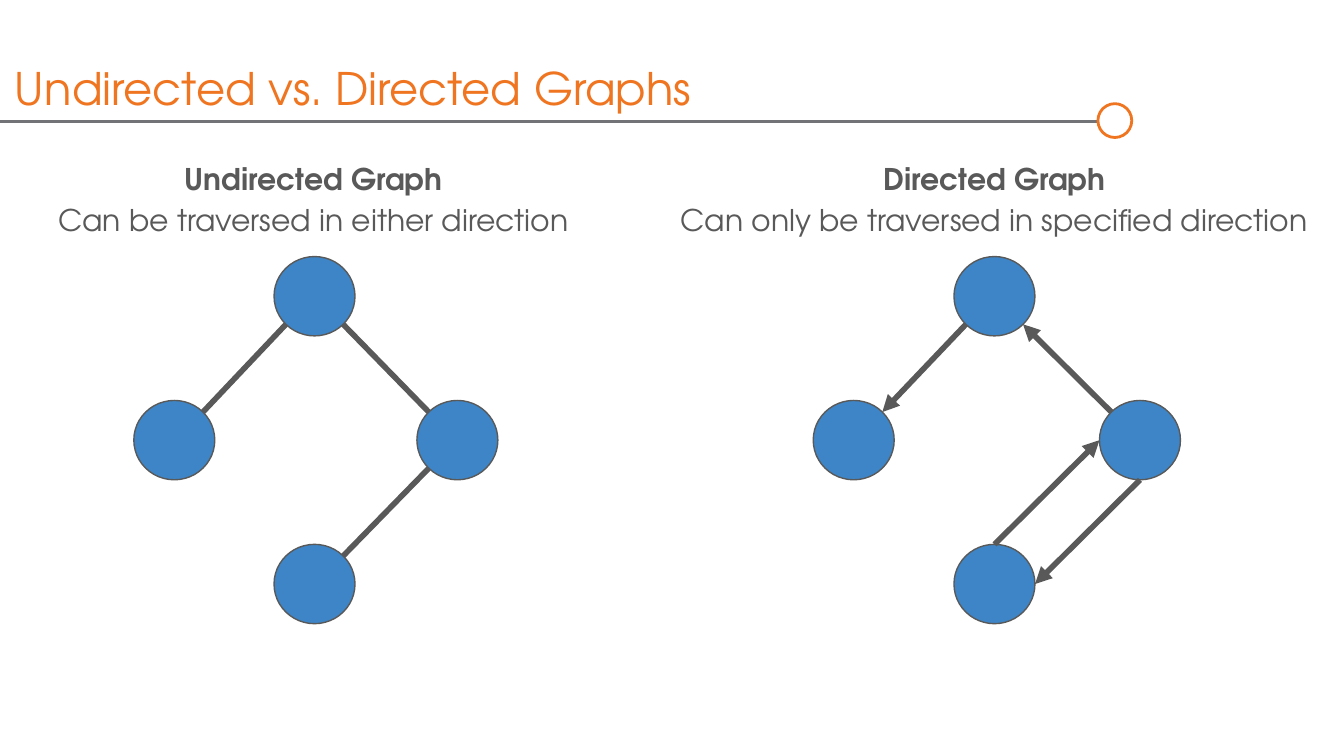
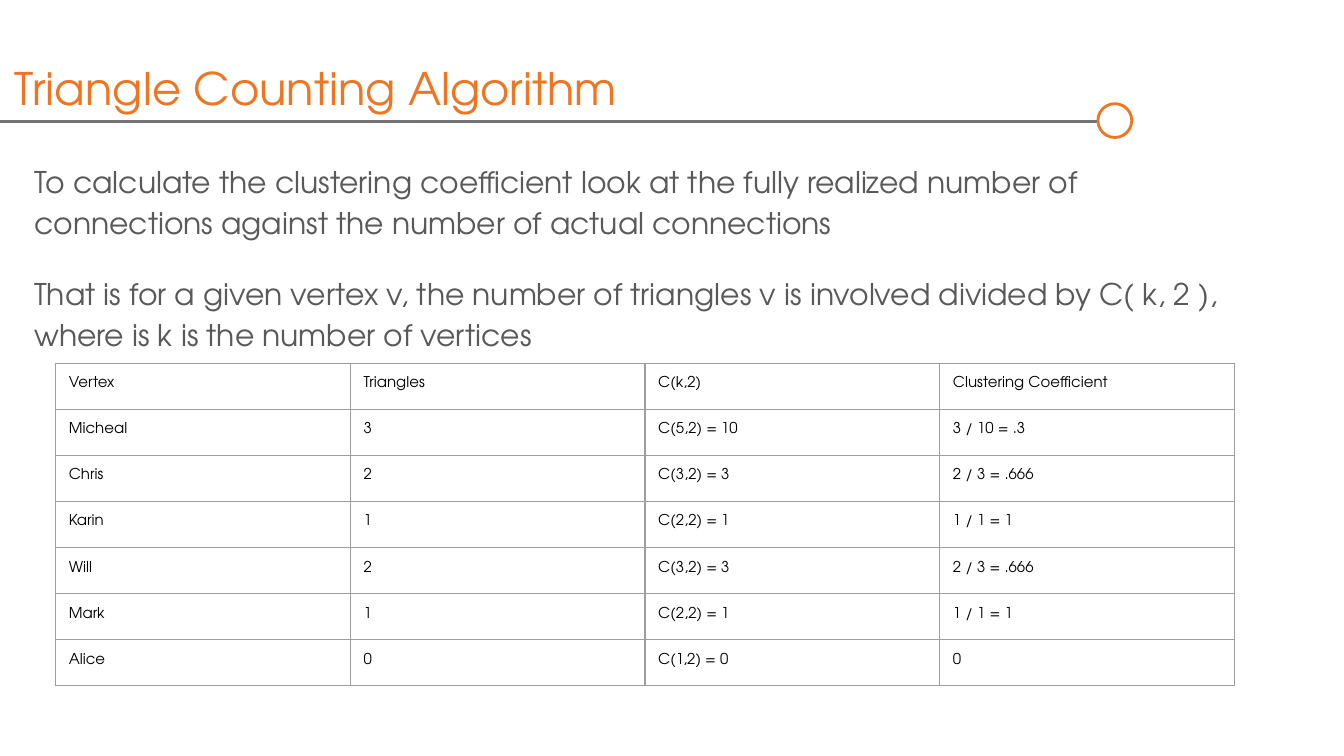
"""Build two slides on graphs: directed versus undirected, and triangle counting."""
import math

import lxml.etree
import pptx
import pptx.dml.color
import pptx.enum.shapes
import pptx.enum.text
import pptx.oxml
import pptx.oxml.ns
import pptx.util

Cm = pptx.util.Cm
Pt = pptx.util.Pt
rgb = pptx.dml.color.RGBColor.from_string
qn = pptx.oxml.ns.qn
align = pptx.enum.text.PP_ALIGN
OVAL = pptx.enum.shapes.MSO_SHAPE.OVAL
STRAIGHT = pptx.enum.shapes.MSO_CONNECTOR.STRAIGHT

FONT = "TeX Gyre Adventor"
ORANGE = "EF7521"
RULE_GREY = "727376"
TEXT_GREY = "595959"
NODE_BLUE = "3D85C6"
BORDER_GREY = "9E9E9E"
BLACK = "000000"


def add_span(para, text, size, colour, bold=False):
    """Add one formatted run to a paragraph."""
    span = para.add_run()
    span.text = text
    span.font.name = FONT
    span.font.size = Pt(size)
    span.font.bold = bold
    span.font.color.rgb = rgb(colour)


def add_line(page, start, end, colour, width, arrow=False):
    """Draw a straight line between two points given in centimetres."""
    line = page.shapes.add_connector(STRAIGHT, *[Cm(value) for value in (*start, *end)])
    line.line.color.rgb = rgb(colour)
    line.line.width = Pt(width)
    properties = line._element.spPr
    if arrow:
        lxml.etree.SubElement(properties.find(qn("a:ln")), qn("a:tailEnd"), type="triangle")
    lxml.etree.SubElement(properties, qn("a:effectLst"))


deck = pptx.Presentation()
deck.slide_width = Cm(25.4)
deck.slide_height = Cm(14.29)

pages = []
for heading in ("Undirected vs. Directed Graphs", "Triangle Counting Algorithm"):
    page = deck.slides.add_slide(deck.slide_layouts[5])
    pages.append(page)
    add_line(page, (0, 2.29), (20.75, 2.29), RULE_GREY, 1.5)
    ring = page.shapes.add_shape(OVAL, Cm(20.75), Cm(1.96), Cm(0.64), Cm(0.64))
    ring.shadow.inherit = False
    ring.fill.background()
    ring.line.color.rgb = rgb(ORANGE)
    ring.line.width = Pt(1.5)

    title = page.shapes.title
    title.left, title.top, title.width, title.height = Cm(0.03), Cm(0.13), Cm(20.5), Cm(2.16)
    frame = title.text_frame
    frame.auto_size = pptx.enum.text.MSO_AUTO_SIZE.NONE
    frame.vertical_anchor = pptx.enum.text.MSO_ANCHOR.BOTTOM
    frame.margin_left = frame.margin_right = Cm(0.25)
    frame.margin_top = frame.margin_bottom = Cm(0.13)
    frame.paragraphs[0].alignment = align.LEFT
    add_span(frame.paragraphs[0], heading, 24, ORANGE)

graph_page, triangle_page = pages

text_boxes = [
    (graph_page, (0.38, 2.69, 11.1, 1.09), align.CENTER, 0,
     [("Undirected Graph", True), ("Can be traversed in either direction", False)]),
    (graph_page, (12.32, 2.69, 12.95, 1.98), align.CENTER, 0,
     [("Directed Graph", True), ("Can only be traversed in specified direction", False)]),
    (triangle_page, (0.4, 2.74, 23.3, 4.14), align.LEFT, 16,
     [("To calculate the clustering coefficient look at the fully realized number of "
       "connections against the number of actual connections", False),
      ("That is for a given vertex v, the number of triangles v is involved divided by "
       "C( k, 2 ), where is k is the number of vertices", False)]),
]
for page, place, alignment, gap, lines in text_boxes:
    box = page.shapes.add_textbox(*[Cm(value) for value in place])
    frame = box.text_frame
    frame.word_wrap = True
    frame.margin_left = frame.margin_right = frame.margin_top = frame.margin_bottom = Cm(0.25)
    for index, (text, bold) in enumerate(lines):
        para = frame.add_paragraph() if index else frame.paragraphs[0]
        para.alignment = alignment
        para.line_spacing = 1.15
        para.space_before = Pt(gap if index else 0)
        add_span(para, text, 16, TEXT_GREY, bold)

NODE_WIDTH, NODE_HEIGHT = 1.53, 1.5
FIRST_ROW, ROW_STEP = 4.85, 2.72
node_rows = {"top": 0, "left": 1, "right": 1, "bottom": 2}
graphs = [
    ({"top": 5.18, "left": 2.53, "right": 7.88, "bottom": 5.18}, False,
     [("top", 135, "left", 315), ("top", 45, "right", 225), ("right", 135, "bottom", 315)]),
    ({"top": 18.03, "left": 15.37, "right": 20.78, "bottom": 18.03}, True,
     [("top", 135, "left", 315), ("right", 225, "top", 45),
      ("right", 90, "bottom", 0), ("bottom", 270, "right", 180)]),
]
for node_lefts, directed, edges in graphs:
    for name, left in node_lefts.items():
        top = FIRST_ROW + node_rows[name] * ROW_STEP
        node = graph_page.shapes.add_shape(OVAL, Cm(left), Cm(top), Cm(NODE_WIDTH), Cm(NODE_HEIGHT))
        node.shadow.inherit = False
        node.fill.solid()
        node.fill.fore_color.rgb = rgb(NODE_BLUE)
        node.line.color.rgb = rgb(TEXT_GREY)
        node.line.width = Pt(0.75)
    for source, source_angle, target, target_angle in edges:
        ends = []
        for name, angle in ((source, source_angle), (target, target_angle)):
            turn = math.radians(angle)
            x = node_lefts[name] + NODE_WIDTH / 2 * (1 + math.cos(turn))
            y = FIRST_ROW + node_rows[name] * ROW_STEP + NODE_HEIGHT / 2 * (1 + math.sin(turn))
            ends.append((x, y))
        add_line(graph_page, *ends, TEXT_GREY, 3, directed)

coefficients = [
    ("Vertex", "Triangles", "C(k,2)", "Clustering Coefficient"),
    ("Micheal", "3", "C(5,2) = 10", "3 / 10 = .3"),
    ("Chris", "2", "C(3,2) = 3", "2 / 3 = .666"),
    ("Karin", "1", "C(2,2) = 1", "1 / 1 = 1"),
    ("Will", "2", "C(3,2) = 3", "2 / 3 = .666"),
    ("Mark", "1", "C(2,2) = 1", "1 / 1 = 1"),
    ("Alice", "0", "C(1,2) = 0", "0"),
]
COLUMN_WIDTH, ROW_HEIGHT = 5.57, 0.87
table = triangle_page.shapes.add_table(
    len(coefficients), 4, Cm(1.05), Cm(6.87),
    Cm(4 * COLUMN_WIDTH), Cm(len(coefficients) * ROW_HEIGHT)).table
table.first_row = False
table.horz_banding = False
for column in table.columns:
    column.width = Cm(COLUMN_WIDTH)
for row, values in zip(table.rows, coefficients):
    row.height = Cm(ROW_HEIGHT)
    for cell, value in zip(row.cells, values):
        cell.margin_left = cell.margin_right = cell.margin_top = cell.margin_bottom = Cm(0.25)
        add_span(cell.text_frame.paragraphs[0], value, 8, BLACK)
        properties = cell._tc.get_or_add_tcPr()
        for side in ("lnL", "lnR", "lnT", "lnB"):
            border = lxml.etree.SubElement(properties, qn("a:" + side), w=str(Pt(0.75)))
            fill = lxml.etree.SubElement(border, qn("a:solidFill"))
            lxml.etree.SubElement(fill, qn("a:srgbClr"), val=BORDER_GREY)
        cell.fill.background()

deck.save("out.pptx")
